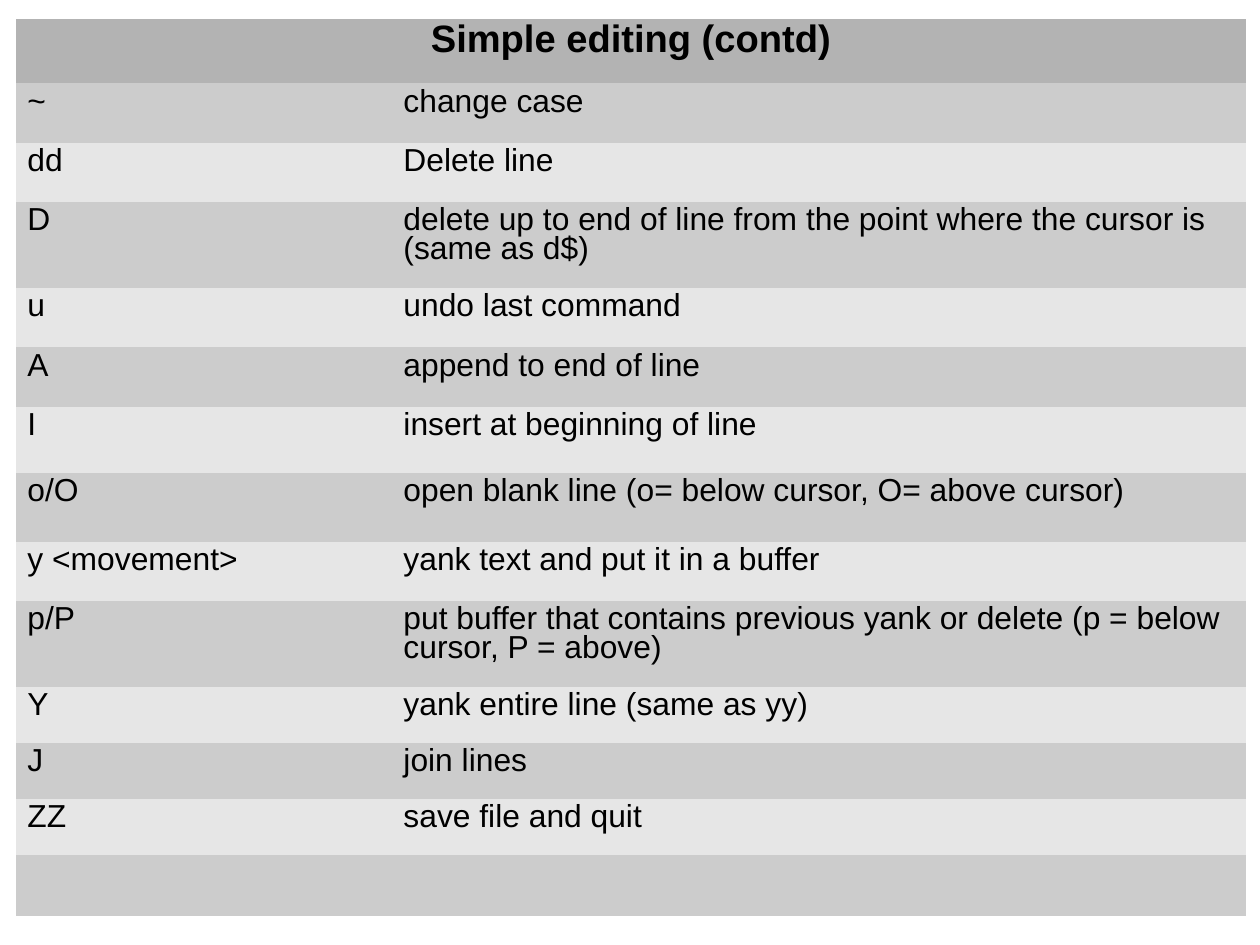
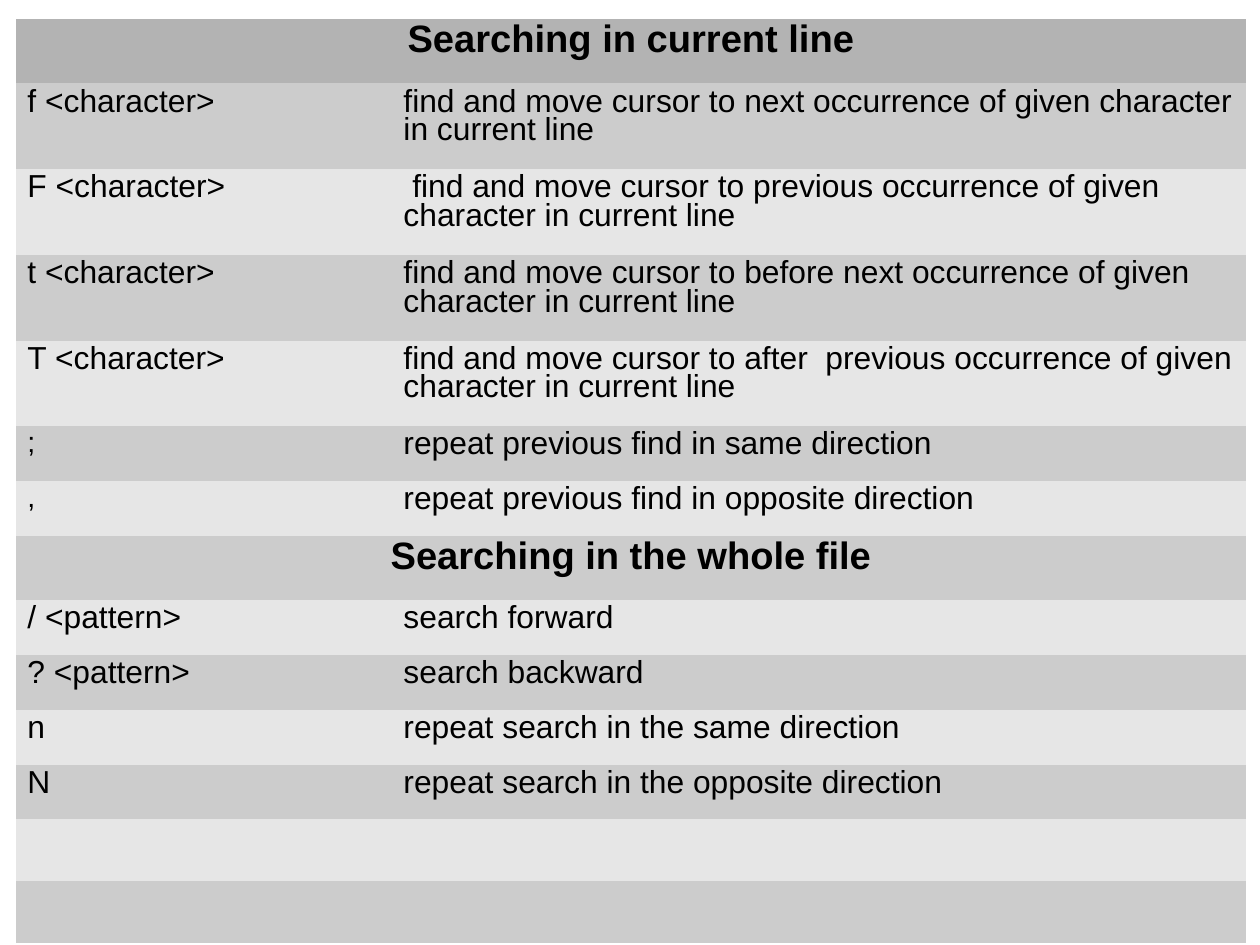
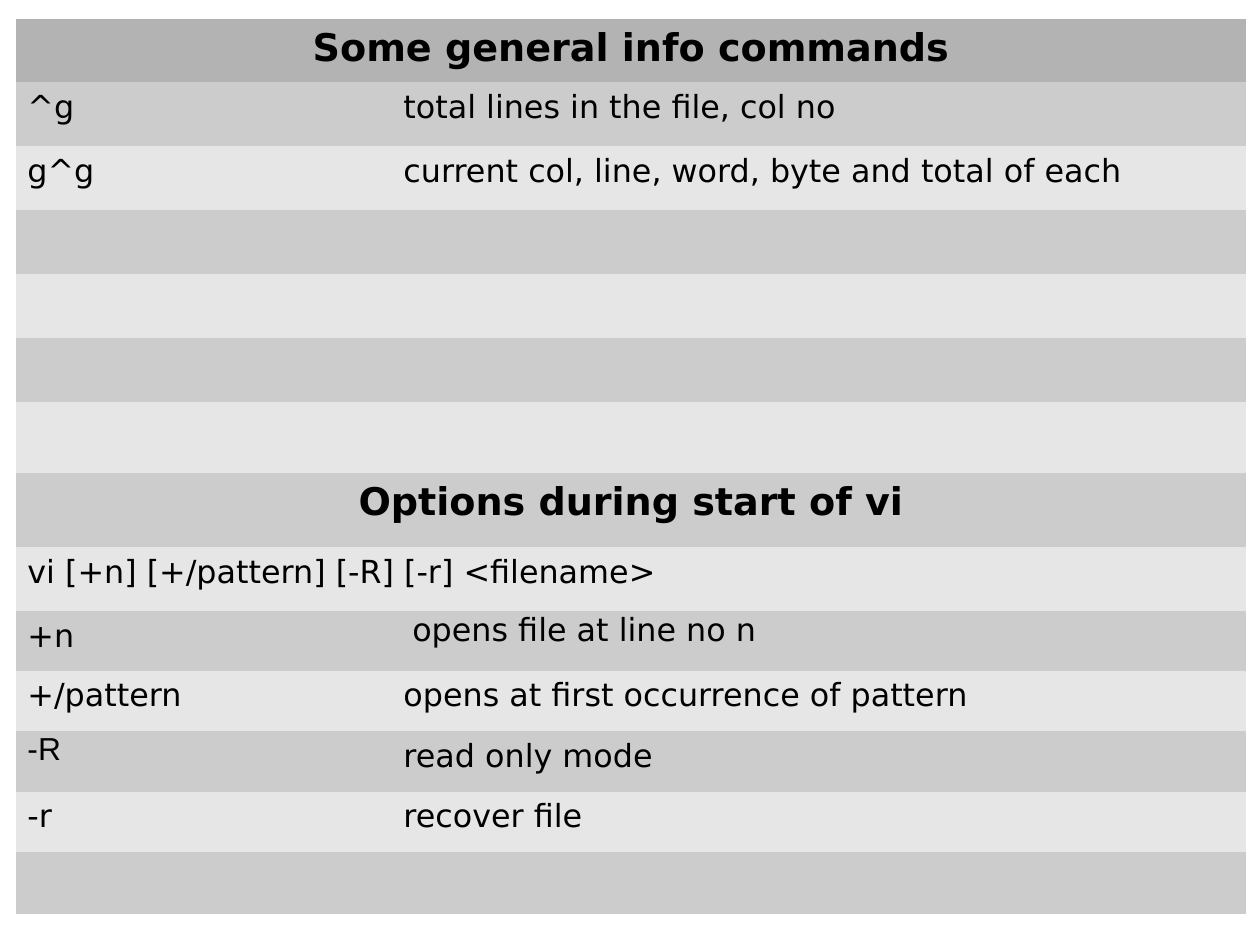
from pptx import Presentation
from pptx.dml.color import RGBColor
from pptx.enum.text import PP_ALIGN
from pptx.util import Inches, Pt

BLACK = RGBColor(0x00, 0x00, 0x00)
HEAD = RGBColor(0xB3, 0xB3, 0xB3)
DARK = RGBColor(0xCC, 0xCC, 0xCC)
LIGHT = RGBColor(0xE6, 0xE6, 0xE6)
SANS = "Arial"
WIDE = "DejaVu Sans"
SPACING = {SANS: 0.81, WIDE: 1.02}
NO_GRID = "{2D5ABB26-0587-4C30-8999-92F81FD0307C}"
WIDTHS = (3.29, 7.47)

# Each row is its height, then one text (spanning both columns), two, or none.
EDITING = [
    (0.56, "Simple editing (contd)"),
    (0.52, "~", "change case"),
    (0.52, "dd", "Delete line"),
    (0.75, "D", "delete up to end of line from the point where the cursor is (same as d$)"),
    (0.52, "u", "undo last command"),
    (0.52, "A", "append to end of line"),
    (0.58, "I", "insert at beginning of line"),
    (0.6, "o/O", "open blank line (o= below cursor, O= above cursor)"),
    (0.52, "y <movement>", "yank text and put it in a buffer"),
    (0.75, "p/P", "put buffer that contains previous yank or delete (p = below cursor, P = above)"),
    (0.49, "Y", "yank entire line (same as yy)"),
    (0.49, "J", "join lines"),
    (0.49, "ZZ", "save file and quit"),
    (0.54,),
]
SEARCH = [
    (0.56, "Searching in current line"),
    (0.75, "f <character>", "find and move cursor to next occurrence of given character in current line"),
    (0.75, "F <character>", " find and move cursor to previous occurrence of given character in current line"),
    (0.75, "t <character>", "find and move cursor to before next occurrence of given character in current line"),
    (0.75, "T <character>", "find and move cursor to after  previous occurrence of given character in current line"),
    (0.48, ";", "repeat previous find in same direction"),
    (0.48, ",", "repeat previous find in opposite direction"),
    (0.56, "Searching in the whole file"),
    (0.48, "/ <pattern>", "search forward"),
    (0.48, "? <pattern>", "search backward"),
    (0.48, "n", "repeat search in the same direction"),
    (0.48, "N", "repeat search in the opposite direction"),
    (0.54,),
    (0.54,),
]
USAGE = "vi [+n] [+/pattern] [-R] [-r] <filename>"
OPENS = " opens file at line no n"
INFO = [
    (0.55, "Some general info commands"),
    (0.56, "^g", "total lines in the file, col no"),
    (0.56, "g^g", "current col, line, word, byte and total of each"),
    (0.56,),
    (0.56,),
    (0.56,),
    (0.62,),
    (0.65, "Options during start of vi"),
    (0.56, USAGE),
    (0.52, "+n", OPENS),
    (0.53, "+/pattern", "opens at first occurrence of pattern"),
    (0.53, "-R", "read only mode"),
    (0.53, "-r", "recover file"),
    (0.54,),
]


def write(cell, text, font=SANS, size=20, bold=False, align=PP_ALIGN.LEFT, spacing=None):
    """Add a formatted run to the first paragraph of the cell."""
    para = cell.text_frame.paragraphs[0]
    para.alignment = align
    para.line_spacing = spacing or SPACING[font]
    run = para.add_run()
    run.text = text
    run.font.name = font
    run.font.size = Pt(size)
    run.font.bold = bold
    run.font.color.rgb = BLACK


# The page is 28 by 21 centimetres.
deck = Presentation()
deck.slide_width = Inches(28 / 2.54)
deck.slide_height = Inches(21 / 2.54)

for rows, face in ((EDITING, SANS), (SEARCH, SANS), (INFO, WIDE)):
    slide = deck.slides.add_slide(deck.slide_layouts[6])
    frame = slide.shapes.add_table(
        len(rows), 2, Inches(0.14), Inches(0.17),
        Inches(sum(WIDTHS)), Inches(sum(row[0] for row in rows)))
    for node in frame.element.iter("{*}tableStyleId"):
        node.text = NO_GRID
    table = frame.table
    table.first_row = table.horz_banding = False
    for column, width in zip(table.columns, WIDTHS):
        column.width = Inches(width)

    for i, (height, *texts) in enumerate(rows):
        table.rows[i].height = Inches(height)
        cells = [table.cell(i, j) for j in range(2)]
        for cell in cells:
            cell.fill.solid()
            cell.fill.fore_color.rgb = HEAD if i == 0 else DARK if i % 2 else LIGHT
        if len(texts) == 1:
            cells[0].merge(cells[1])
        for cell, text in zip(cells, texts):
            if len(texts) == 1 and text != USAGE:
                write(cell, text, font=face, size=24, bold=True, align=PP_ALIGN.CENTER)
            elif text == OPENS:
                write(cell, " ")
                write(cell, text.strip(), font=face, spacing=SPACING[SANS])
            elif text == "-R":
                write(cell, text)
            else:
                write(cell, text, font=face, size=18 if text in (";", ",") else 20)

deck.save("out.pptx")
